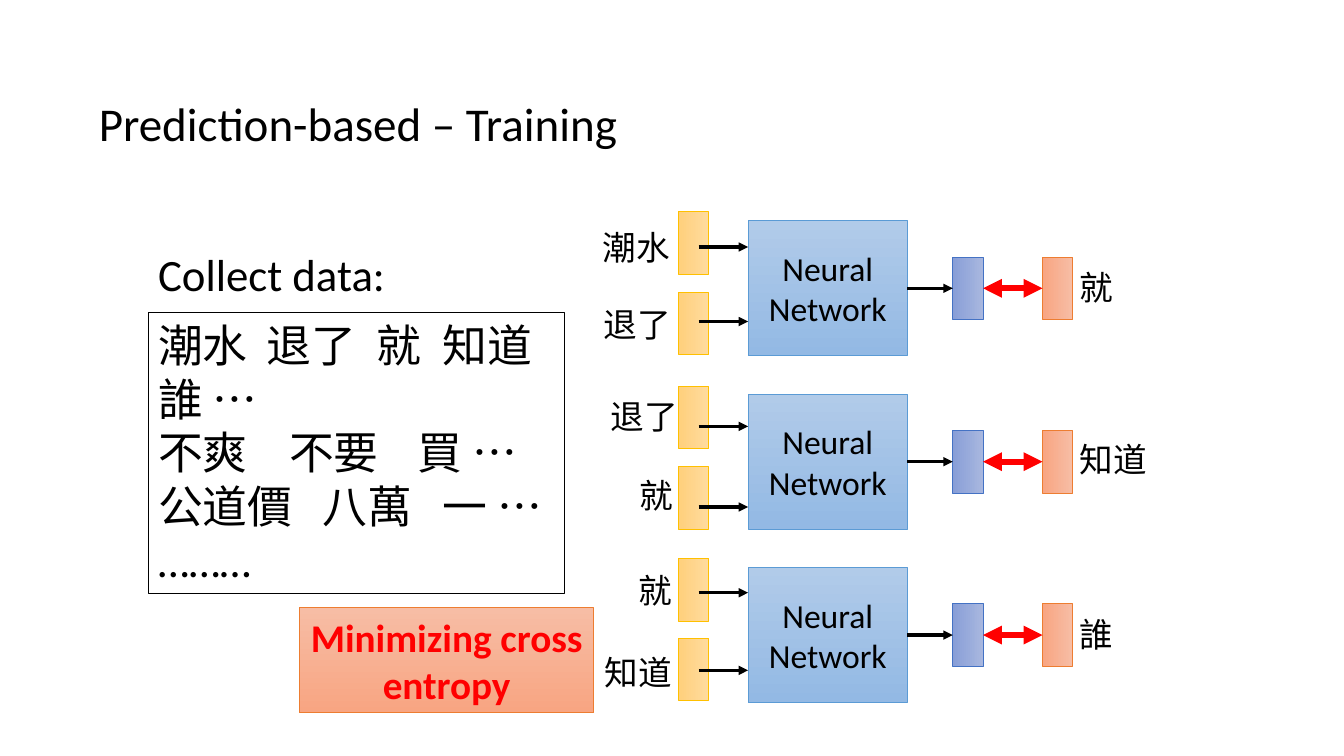
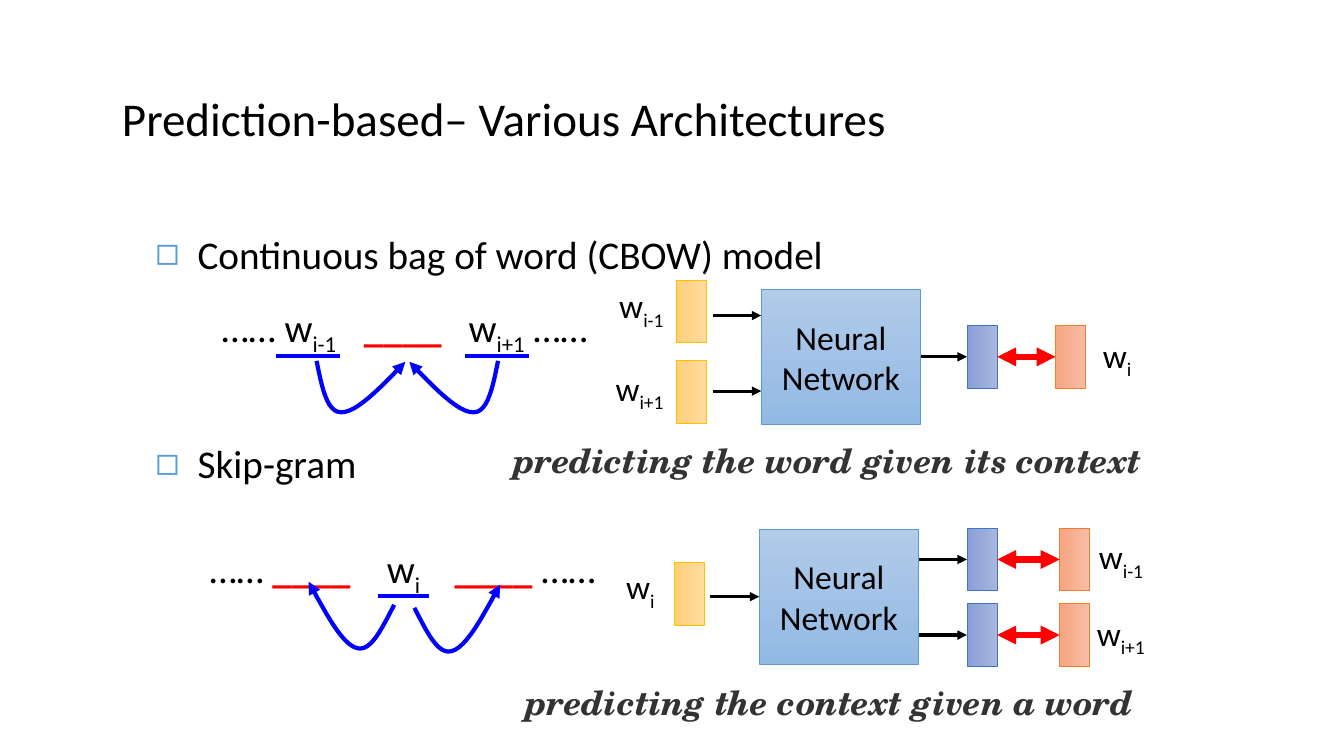
from pptx import Presentation
from pptx.dml.color import RGBColor
from pptx.enum.shapes import MSO_CONNECTOR, MSO_SHAPE
from pptx.enum.text import MSO_ANCHOR, MSO_AUTO_SIZE, PP_ALIGN
from pptx.oxml.ns import qn
from pptx.util import Inches, Pt
from lxml.etree import SubElement


class Theme:
    black = RGBColor.from_string("000000")
    red = RGBColor.from_string("FF0000")
    blue = RGBColor.from_string("0000FF")
    gray = RGBColor.from_string("333333")
    mark = "5B9BD5"
    # Gradient start, gradient end, outline
    net = ("B1CBE9", "93B9E4", "5B9BD5")
    input = ("FFDB9E", "FFD07C", "FFC000")
    output = ("A8B7DF", "889ED7", "4472C4")
    target = ("F7BDA5", "F8A582", "ED7D31")
    font = "Calibri"
    serif = "TeX Gyre Schola"
    title, data, large, label = 33.6, 32, 28, 24


NET_W, NET_H = 1.58, 1.34
BAR_W, BAR_H = 0.3, 0.62
LEFT, MID, RIGHT = PP_ALIGN.LEFT, PP_ALIGN.CENTER, PP_ALIGN.RIGHT


def put(slide, text, left, top, width, height, size=Theme.label, align=LEFT,
        hue=None, angle=270, color=Theme.black, tabs=()):
    """Add a text box, or a gradient block if a hue is given.

    "|" parts the runs: "~" opens a subscript, "____" is a red gap.
    """
    place = [Inches(n) for n in (left, top, width, height)]
    if hue:
        shape = slide.shapes.add_shape(MSO_SHAPE.RECTANGLE, *place)
        shape.shadow.inherit = False
        shape.fill.gradient()
        shape.fill.gradient_angle = angle
        for stop, tone in zip(shape.fill.gradient_stops, hue):
            stop.color.rgb = RGBColor.from_string(tone)
        shape.line.color.rgb = RGBColor.from_string(hue[2])
        shape.line.width = Pt(0.5)
    else:
        shape = slide.shapes.add_textbox(*place)
    frame = shape.text_frame
    frame.word_wrap = True
    frame.vertical_anchor = MSO_ANCHOR.MIDDLE if hue else MSO_ANCHOR.TOP
    for i, line in enumerate(text.split("\n") if text else ()):
        para = frame.paragraphs[0] if i == 0 else frame.add_paragraph()
        para.alignment = align
        if i < len(tabs):
            stops = SubElement(para._p.get_or_add_pPr(), qn("a:tabLst"))
            for pos in tabs[i]:
                SubElement(stops, qn("a:tab"), pos=str(Inches(pos)), algn="l")
        para.font.size, para.font.name = Pt(size), Theme.font
        para.font.color.rgb = color
        for part in line.split("|"):
            run = para.add_run()
            run.text = part.lstrip("~")
            if part.startswith("~"):
                run._r.get_or_add_rPr().set("baseline", "-25000")
            elif part == "____":
                run.font.bold = True
                run.font.color.rgb = Theme.red
    return shape


def link(slide, points, color=Theme.black, width=2.25, ends=("tailEnd",)):
    """Draw a straight connector, or an open curve through many points."""
    spots = [(Inches(x), Inches(y)) for x, y in points]
    if len(spots) == 2:
        line = slide.shapes.add_connector(MSO_CONNECTOR.STRAIGHT, *spots[0], *spots[1])
    else:
        pen = slide.shapes.build_freeform(*spots[0])
        pen.add_line_segments(spots[1:], close=False)
        line = pen.convert_to_shape()
        line.fill.background()
    line.line.color.rgb = color
    line.line.width = Pt(width)
    for end in ends:
        SubElement(line.line._get_or_add_ln(), qn("a:" + end), type="triangle")
    SubElement(line._element.spPr, qn("a:effectLst"))
    return line


deck = Presentation()
deck.slide_width, deck.slide_height = Inches(13.33), Inches(7.5)
train = deck.slides.add_slide(deck.slide_layouts[5])
archs = deck.slides.add_slide(deck.slide_layouts[1])

# Titles
for slide, text, left, top in (
    (train, "Prediction-based – Training", 0.88, 0.97),
    (archs, "Prediction-based– Various Architectures", 1.11, 0.92),
):
    title = slide.shapes.title
    title.left, title.top = Inches(left), Inches(top)
    title.width, title.height = Inches(12), Inches(0.57)
    frame = title.text_frame
    frame.text = text
    frame.auto_size = MSO_AUTO_SIZE.NONE
    frame.vertical_anchor = MSO_ANCHOR.MIDDLE
    para = frame.paragraphs[0]
    para.alignment, para.line_spacing = LEFT, 0.9
    para.font.size, para.font.name = Pt(Theme.title), Theme.font
    para.font.color.rgb = Theme.black

# Training data and goal
put(train, "Collect data:", 1.47, 2.4, 3, 0.64, Theme.data)
words = put(
    train,
    "潮水\t退了\t就\t知道 誰 …\n不爽\t不要\t買 …\n公道價\t八萬\t一 …\n………",
    1.47, 3.1, 4.13, 2.79, Theme.data,
    tabs=((1.08, 2.17, 2.82), (1.3, 2.57), (1.63, 2.82)),
)
words.line.color.rgb = Theme.black
words.line.width = Pt(0.75)
goal = put(train, "Minimizing cross entropy", 2.97, 6.03, 2.92, 1.04,
           Theme.large, MID, Theme.target, color=Theme.red)
goal.text_frame.paragraphs[0].font.bold = True

# List of architectures
body = archs.placeholders[1]
body.left, body.top = Inches(1.44), Inches(2.23)
body.width, body.height = Inches(10.02), Inches(2.66)
frame = body.text_frame
frame.text = "Continuous bag of word (CBOW) model\nSkip-gram"
frame.auto_size = MSO_AUTO_SIZE.NONE
for para, gap in zip(frame.paragraphs, (0, 116)):
    para.space_before = Pt(gap)
    props = para._p.get_or_add_pPr()
    props.set("marL", str(Inches(0.42)))
    props.set("indent", str(Inches(-0.42)))
    SubElement(SubElement(props, qn("a:buClr")), qn("a:srgbClr"), val=Theme.mark)
    SubElement(props, qn("a:buChar"), char="◻")
    para.font.size, para.font.name = Pt(Theme.large), Theme.font
    para.font.color.rgb = Theme.black

# Networks: slide, left, middle
rows = [2.86 + 1.72 * i for i in range(3)]
nets = [
    put(slide, "Neural\nNetwork", left, mid - NET_H / 2, NET_W, NET_H,
        align=MID, hue=Theme.net)
    for slide, left, mid in [(train, 7.42, mid) for mid in rows]
    + [(archs, 7.55, 3.54), (archs, 7.53, 5.92)]
]

# Inputs: slide, label, its right edge and top, bar left and top, arrow from, to, height
for slide, text, edge, top, left, bar, start, end, y in (
    (train, "潮水", 6.74, 2.2, 6.73, 2.1, 6.93, 7.42, 2.45),
    (train, "退了", 6.75, 2.97, 6.73, 2.9, 6.93, 7.42, 3.19),
    (train, "退了", 6.82, 3.88, 6.73, 3.83, 6.93, 7.42, 4.23),
    (train, "就", 6.77, 4.66, 6.73, 4.63, 6.93, 7.42, 5.03),
    (train, "就", 6.76, 5.6, 6.73, 5.54, 6.93, 7.42, 5.88),
    (train, "知道", 6.76, 6.42, 6.73, 6.33, 6.93, 7.42, 6.65),
    (archs, "w|~i-1", 6.68, 2.78, 6.71, 2.78, 7.07, 7.55, 3.13),
    (archs, "w|~i+1", 6.68, 3.6, 6.71, 3.58, 7.07, 7.55, 3.88),
    (archs, "w|~i", 6.59, 5.57, 6.69, 5.58, 7.04, 7.53, 5.92),
):
    put(slide, text, edge - 1.2, top, 1.2, 0.5, align=RIGHT)
    put(slide, "", left, bar, BAR_W, BAR_H, hue=Theme.input, angle=180)
    arrow = link(slide, ((start, y), (end, y)))
    if text == "w|~i":
        arrow.end_connect(nets[4], 1)

# Outputs: slide, network, middle, bar lefts, label, its left and top
for slide, net, mid, left, goal_x, text, x, top in (
    (train, nets[0], rows[0], 9.45, 10.34, "就", 10.61, 2.6),
    (train, nets[1], rows[1], 9.45, 10.34, "知道", 10.61, 4.31),
    (train, nets[2], rows[2], 9.45, 10.34, "誰", 10.61, 6.04),
    (archs, nets[3], 3.54, 9.59, 10.47, "w|~i", 10.84, 3.27),
    (archs, None, 5.55, 9.59, 10.51, "w|~i-1", 10.8, 5.27),
    (archs, None, 6.3, 9.59, 10.51, "w|~i+1", 10.78, 6.03),
):
    guess, truth = (
        put(slide, "", spot, mid - BAR_H / 2, BAR_W, BAR_H, hue=hue, angle=180)
        for spot, hue in ((left, Theme.output), (goal_x, Theme.target))
    )
    arrow = link(slide, ((9.11, mid), (left, mid)))
    if net:
        arrow.begin_connect(net, 3)
    arrow.end_connect(guess, 1)
    match = link(slide, ((left + BAR_W, mid), (goal_x, mid)), Theme.red, 4.5,
                 ("headEnd", "tailEnd"))
    match.begin_connect(guess, 3)
    match.end_connect(truth, 1)
    put(slide, text, x, top, 1.2, 0.5)

# Word sequences with gaps
for text, left, top, tabs in (
    ("…… w|~i-1|\t|____|\tw|~i+1| ……", 2.1, 2.96, (1.41, 2.45)),
    ("…… |____|\tw|~i|\t|____| ……", 1.98, 5.35, (1.76, 2.43)),
):
    put(archs, text, left, top, 4.3, 0.57, Theme.large, tabs=(tabs,))
for start, end, y in ((2.74, 3.37, 3.53), (4.61, 5.25, 3.53), (3.75, 4.25, 5.91)):
    link(archs, ((start, y), (end, y)), Theme.blue, 3, ())

# Curved arrows: two Bezier pieces each, mirrored about an axis
for arc, axis, drop in (
    (((3.14, 3.58), (3.19, 3.83), (3.24, 4.09), (3.38, 4.09),
      (3.53, 4.1), (3.77, 3.85), (4.02, 3.59)), 4.04, 0),
    (((3.91, 6), (3.79, 6.23), (3.68, 6.47), (3.54, 6.43),
      (3.39, 6.39), (3.23, 6.08), (3.06, 5.77)), 4.01, 0.03),
):
    curve = [arc[0]]
    for a, b, c, d in (arc[:4], arc[3:]):
        for t in (n / 12 for n in range(1, 13)):
            u = 1 - t
            curve.append(tuple(
                u**3 * a[k] + 3 * u * u * t * b[k] + 3 * u * t * t * c[k] + t**3 * d[k]
                for k in (0, 1)
            ))
    link(archs, curve, Theme.blue, 3)
    link(archs, [(2 * axis - x, y + drop) for x, y in curve], Theme.blue, 3)

# Captions
for text, left, top in (
    ("predicting the word given its context", 4.99, 4.32),
    ("predicting the context given a word", 5.11, 6.72),
):
    note = put(archs, text, left, top, 7, 0.5, color=Theme.gray)
    font = note.text_frame.paragraphs[0].font
    font.name, font.bold, font.italic = Theme.serif, True, True

deck.save("out.pptx")
